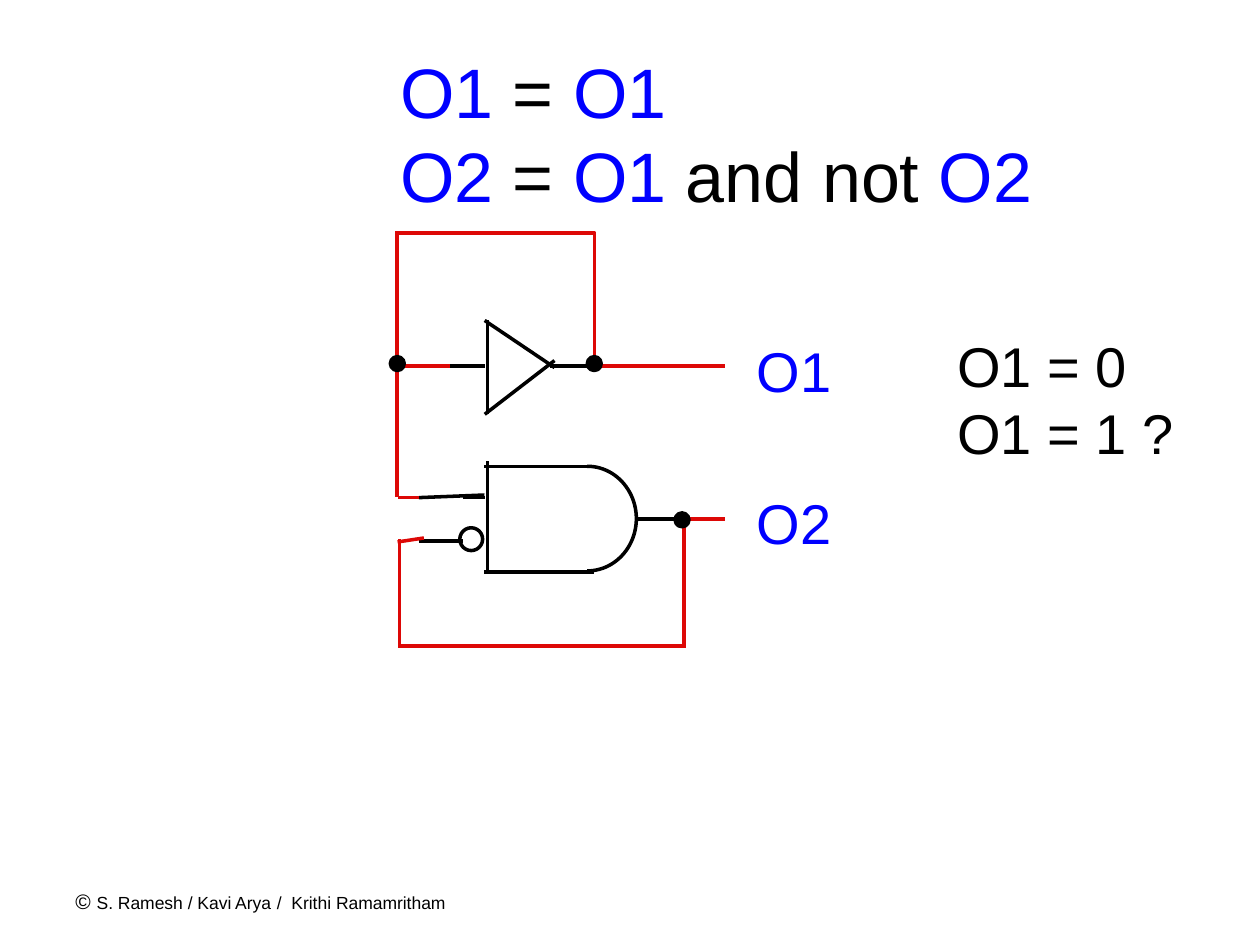
from pptx import Presentation
from pptx import util as u
from pptx.dml.color import RGBColor
from pptx.enum import shapes, text
from pptx.oxml.ns import qn
from lxml import etree

Cm = u.Cm
INK, RED, BLUE = "000000", "DD0806", "0000FF"

WIRES = {
    INK: [
        (9.8, 9.4, 11.86, 9.4),
        (9.8, 11.53, 11.94, 11.53),
        (9.83, 11.51, 9.83, 9.32),
        (9.37, 10.03, 9.75, 10.03),
        (9.8, 6.48, 11.15, 7.39),
        (9.8, 8.33, 11.15, 7.29),
        (9.83, 6.48, 9.83, 8.31),
        (12.9, 10.46, 13.72, 10.46),
        (8.48, 10.91, 9.3, 10.91),
        (8.94, 7.38, 9.75, 7.38),
        (11.13, 7.38, 11.94, 7.38),
        (8.48, 10.03, 9.73, 9.98),
    ],
    RED: [
        (13.79, 10.46, 14.58, 10.46),
        (13.79, 10.46, 13.79, 13.03),
        (8.1, 13.02, 13.74, 13.02),
        (8.05, 10.9, 8.05, 13.03),
        (8.05, 10.92, 8.51, 10.85),
        (12.01, 7.38, 14.58, 7.38),
        (8.05, 10.03, 8.41, 10.03),
        (8.05, 7.38, 9.04, 7.38),
        (8, 4.7, 8, 9.98),
    ],
}
LOOP = [(8, 4.7), (11.99, 4.7), (11.99, 7.34)]
ARC = (10.85, 9.4, 1.98, 2.11)
BUBBLE = (9.27, 10.64, 0.46, 0.46)
DOTS = [(7.87, 7.19), (11.84, 7.19), (13.61, 10.34)]
DOT = 0.28

THIN, WIDE = (0.25, 0.13), (0.64, 0.33)
TEXTS = [
    ((1.27, 17.78, 9.53, 0.76), THIN, [
        [("© ", 12, INK), ("S. Ramesh / Kavi Arya", 10, INK),
         (" ", 12, INK), ("/  Krithi Ramamritham", 10, INK)]]),
    ((14.61, 6.45, 2.9, 2.01), WIDE, [[("O1", 32, BLUE)]]),
    ((14.61, 9.52, 2.9, 2.01), WIDE, [[("O2", 32, BLUE)]]),
    ((7.82, 0.84, 13.6, 3.63), THIN, [
        [("O1 ", 40, BLUE), ("= ", 40, INK), ("O1", 40, BLUE)],
        [("O2 ", 40, BLUE), ("= ", 40, INK), ("O1", 40, BLUE),
         (" and not ", 40, INK), ("O2", 40, BLUE)]]),
    ((19.05, 6.55, 5.1, 2.97), THIN, [
        [("O1 = 0", 32, INK)], [("O1 = 1 ?", 32, INK)]]),
]


def paint(fmt, color):
    fmt.solid()
    fmt.fore_color.rgb = RGBColor.from_string(color)


def style(shape, color, fill=None):
    shape.shadow.inherit = False
    paint(shape.line.fill, color)
    shape.line.width = u.Pt(2)
    if fill:
        paint(shape.fill, fill)
    else:
        shape.fill.background()


def wire(tree, ends, color):
    line = tree.add_connector(shapes.MSO_CONNECTOR.STRAIGHT, *map(Cm, ends))
    paint(line.line.fill, color)
    line.line.width = u.Pt(2)
    props = line._element.spPr
    props.find(qn("a:ln")).set("cap", "sq")
    etree.SubElement(props, qn("a:effectLst"))


def shape(tree, kind, box, fill=None):
    item = tree.add_shape(kind, *map(Cm, box))
    style(item, INK, fill)
    return item


def write(tree, box, inset, paras):
    frame = tree.add_textbox(*map(Cm, box)).text_frame
    frame.word_wrap = True
    frame.auto_size = text.MSO_AUTO_SIZE.SHAPE_TO_FIT_TEXT
    frame.margin_left = frame.margin_right = Cm(inset[0])
    frame.margin_top = frame.margin_bottom = Cm(inset[1])
    for i, runs in enumerate(paras):
        para = frame.add_paragraph() if i else frame.paragraphs[0]
        for words, size, color in runs:
            run = para.add_run()
            run.text = words
            run.font.name = "Arial"
            run.font.size = u.Pt(size)
            paint(run.font.fill, color)


def main():
    deck = Presentation()
    deck.slide_width, deck.slide_height = Cm(25.4), Cm(19.05)
    tree = deck.slides.add_slide(deck.slide_layouts[6]).shapes

    for color, lines in WIRES.items():
        for ends in lines:
            wire(tree, ends, color)

    points = [(Cm(x), Cm(y)) for x, y in LOOP]
    path = tree.build_freeform(*points[0])
    path.add_line_segments(points[1:], close=False)
    style(path.convert_to_shape(), RED)

    arc = shape(tree, shapes.MSO_SHAPE.ARC, ARC)
    arc.adjustments[0] = 162
    arc.adjustments[1] = 54
    shape(tree, shapes.MSO_SHAPE.OVAL, BUBBLE)
    for x, y in DOTS:
        shape(tree, shapes.MSO_SHAPE.OVAL, (x, y, DOT, DOT), INK)

    for item in TEXTS:
        write(tree, *item)
    deck.save("out.pptx")


if __name__ == "__main__":
    main()
